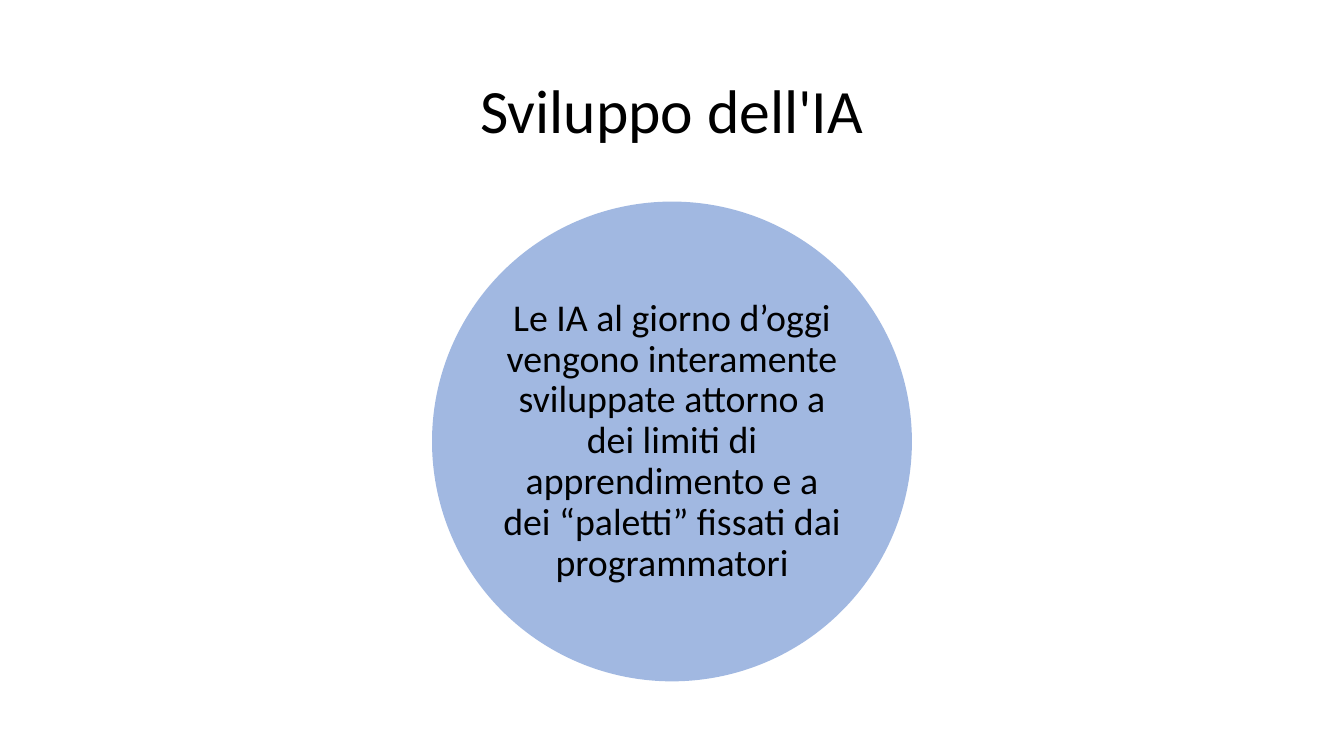
"""Build the slide on how AI is developed."""
import math

from lxml import etree
from pptx import Presentation
from pptx import util as u
from pptx.dml.color import RGBColor
from pptx.enum import shapes, text
from pptx.oxml.ns import qn

SLIDE_WIDTH = u.Inches(13.33)
SLIDE_HEIGHT = u.Inches(7.5)
BLACK = RGBColor(0x00, 0x00, 0x00)
BLUE = RGBColor(0x44, 0x72, 0xC4)
FONT = "Calibri"
TITLE = "Sviluppo dell'IA"
STATEMENT = (
    "Le IA al giorno d’oggi vengono interamente sviluppate attorno a dei "
    "limiti di apprendimento e a dei “paletti” fissati dai programmatori"
)


def write_centred(frame, wording, size):
    frame.word_wrap = True
    frame.auto_size = text.MSO_AUTO_SIZE.NONE
    frame.vertical_anchor = text.MSO_ANCHOR.MIDDLE
    paragraph = frame.paragraphs[0]
    paragraph.alignment = text.PP_ALIGN.CENTER
    paragraph.line_spacing = 0.9
    run = paragraph.add_run()
    run.text = wording
    run.font.name = FONT
    run.font.size = u.Pt(size)
    run.font.color.rgb = BLACK


def place_title(slide):
    title = slide.shapes.title
    title.width = int(SLIDE_WIDTH * 0.8625)
    title.left = (SLIDE_WIDTH - title.width) // 2
    title.top = u.Inches(0.4)
    title.height = u.Inches(1.45)
    write_centred(title.text_frame, TITLE, 44)


def centred_square(side, middle):
    return (SLIDE_WIDTH - side) // 2, middle - side // 2, side, side


def add_statement_circle(slide, diameter, middle):
    group = slide.shapes.add_group_shape()
    circle = group.shapes.add_shape(
        shapes.MSO_SHAPE.OVAL, *centred_square(diameter, middle))
    circle.shadow.inherit = False
    circle.fill.solid()
    circle.fill.fore_color.rgb = BLUE
    circle.line.fill.background()
    colour = circle.fill._xPr.find(qn("a:solidFill"))[0]
    etree.SubElement(colour, qn("a:alpha"), val="50000")

    inscribed_side = int(diameter / math.sqrt(2))
    statement = group.shapes.add_textbox(
        *centred_square(inscribed_side, middle))
    frame = statement.text_frame
    frame.margin_left = frame.margin_right = 0
    frame.margin_top = frame.margin_bottom = 0
    write_centred(frame, STATEMENT, 27)


def main():
    deck = Presentation()
    deck.slide_width = SLIDE_WIDTH
    deck.slide_height = SLIDE_HEIGHT
    slide = deck.slides.add_slide(deck.slide_layouts[5])
    place_title(slide)
    add_statement_circle(slide, u.Inches(4.76), u.Inches(4.38))
    deck.save("out.pptx")


if __name__ == "__main__":
    main()
